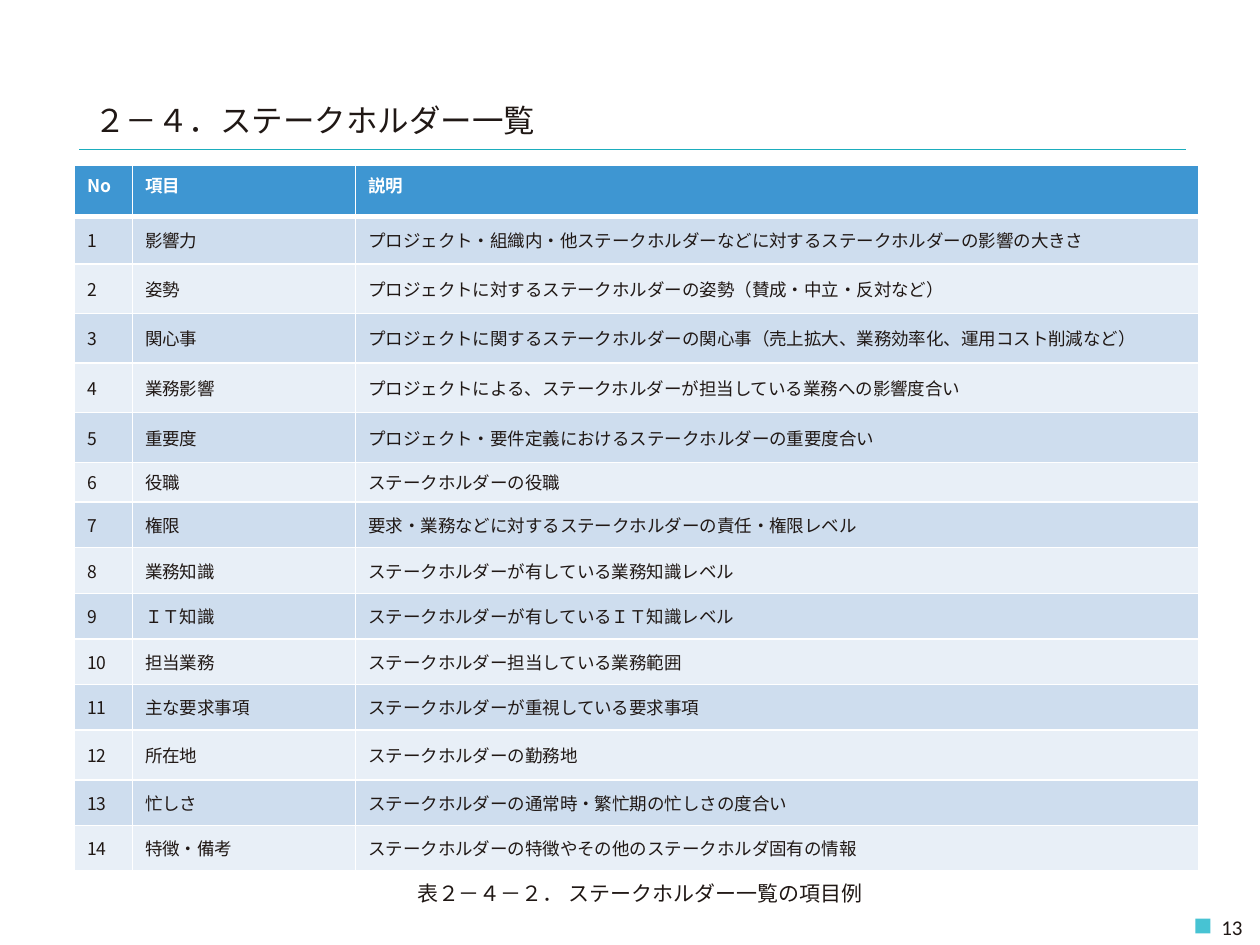
"""Build the stakeholder list slide."""
import dataclasses

import lxml.etree
import pptx
import pptx.dml.color
import pptx.enum.shapes
import pptx.enum.text
import pptx.oxml.ns
import pptx.util

Cm = pptx.util.Cm
Align = pptx.enum.text.PP_ALIGN
Anchor = pptx.enum.text.MSO_ANCHOR
qn = pptx.oxml.ns.qn


@dataclasses.dataclass(frozen=True)
class Theme:
    """Colours, fonts and type sizes of the slide."""
    ink: str = "201815"
    white: str = "FFFFFF"
    rule: str = "1BADBD"
    marker: str = "47C3D3"
    header: str = "3E96D2"
    bands: tuple = ("CEDDEE", "E8EFF7")
    text_font: str = "Noto Sans CJK JP"
    number_font: str = "Calibri"
    title_size: int = 18
    label_size: int = 12
    table_size: int = 10


THEME = Theme()
COLUMN_WIDTHS = (1.17, 4.5, 16.99)
ROW_HEIGHTS = (1.02, 0.96, *[1] * 4, 0.8, *[0.92] * 5, 1, 0.92, 0.92)
HEADINGS = ("No", "項目", "説明")
ITEMS = (
    ("影響力", "プロジェクト・組織内・他ステークホルダーなどに対するステークホルダーの影響の大きさ"),
    ("姿勢", "プロジェクトに対するステークホルダーの姿勢（賛成・中立・反対など）"),
    ("関心事", "プロジェクトに関するステークホルダーの関心事（売上拡大、業務効率化、運用コスト削減など）"),
    ("業務影響", "プロジェクトによる、ステークホルダーが担当している業務への影響度合い"),
    ("重要度", "プロジェクト・要件定義におけるステークホルダーの重要度合い"),
    ("役職", "ステークホルダーの役職"),
    ("権限", "要求・業務などに対するステークホルダーの責任・権限レベル"),
    ("業務知識", "ステークホルダーが有している業務知識レベル"),
    ("ＩＴ知識", "ステークホルダーが有しているＩＴ知識レベル"),
    ("担当業務", "ステークホルダー担当している業務範囲"),
    ("主な要求事項", "ステークホルダーが重視している要求事項"),
    ("所在地", "ステークホルダーの勤務地"),
    ("忙しさ", "ステークホルダーの通常時・繁忙期の忙しさの度合い"),
    ("特徴・備考", "ステークホルダーの特徴やその他のステークホルダ固有の情報"),
)


def rgb(value):
    """Return the colour for a hexadecimal string."""
    return pptx.dml.color.RGBColor.from_string(value)


def write_text(frame, text, size, color=THEME.ink, font=THEME.text_font, bold=False, align=Align.LEFT):
    """Write one formatted run into a text frame."""
    paragraph = frame.paragraphs[0]
    paragraph.alignment = align
    run = paragraph.add_run()
    run.text = text
    run.font.size = pptx.util.Pt(size)
    run.font.name = font
    run.font.bold = bold
    run.font.color.rgb = rgb(color)
    east_asian = lxml.etree.SubElement(run.font._element, qn("a:ea"))
    east_asian.set("typeface", font)


def add_label(slide, box, text, size, **text_format):
    """Add a vertically centred text box at the given box in centimetres."""
    frame = slide.shapes.add_textbox(*map(Cm, box)).text_frame
    frame.word_wrap = True
    frame.vertical_anchor = Anchor.MIDDLE
    write_text(frame, text, size, **text_format)


def add_title(slide, box, text):
    """Place the title and the thin rule beneath it."""
    left, top, width, height = box
    add_label(slide, (left + 0.05, top, width, height), text, THEME.title_size)
    rule_top = Cm(top + height + 0.08)
    rule = slide.shapes.add_connector(
        pptx.enum.shapes.MSO_CONNECTOR.STRAIGHT, Cm(left), rule_top, Cm(left + width), rule_top)
    rule.line.color.rgb = rgb(THEME.rule)
    rule.line.width = pptx.util.Pt(0.25)
    lxml.etree.SubElement(rule._element.spPr, qn("a:effectLst"))


def set_borders(cell, top, bottom):
    """Draw white cell borders with the given top and bottom widths."""
    properties = cell._tc.get_or_add_tcPr()
    widths = {"a:lnL": 1, "a:lnR": 1, "a:lnT": top, "a:lnB": bottom}
    for position, (tag, width) in enumerate(widths.items()):
        line = lxml.etree.Element(qn(tag), w=str(pptx.util.Pt(width)))
        fill = lxml.etree.SubElement(line, qn("a:solidFill"))
        lxml.etree.SubElement(fill, qn("a:srgbClr"), val=THEME.white)
        properties.insert(position, line)


def add_item_table(slide, left, top):
    """Place the banded table of stakeholder items."""
    rows = [HEADINGS] + [(str(number), *item) for number, item in enumerate(ITEMS, 1)]
    table = slide.shapes.add_table(
        len(rows), len(HEADINGS), Cm(left), Cm(top), Cm(sum(COLUMN_WIDTHS)), Cm(sum(ROW_HEIGHTS))).table
    for column, width in zip(table.columns, COLUMN_WIDTHS):
        column.width = Cm(width)
    for index, (row, height, texts) in enumerate(zip(table.rows, ROW_HEIGHTS, rows)):
        row.height = Cm(height)
        is_header = index == 0
        for cell, text in zip(row.cells, texts):
            cell.fill.solid()
            cell.fill.fore_color.rgb = rgb(THEME.header if is_header else THEME.bands[(index - 1) % 2])
            cell.vertical_anchor = Anchor.TOP if is_header else Anchor.MIDDLE
            set_borders(cell, 3 if index == 1 else 1, 3 if is_header else 1)
            write_text(cell.text_frame, text, THEME.table_size, bold=is_header,
                       color=THEME.white if is_header else THEME.ink)


def add_page_number(slide, box, number):
    """Place the page number with its square marker."""
    left, top, width, height = box
    marker = slide.shapes.add_shape(
        pptx.enum.shapes.MSO_SHAPE.RECTANGLE, Cm(left + 2.33), Cm(top + 0.23), Cm(0.3), Cm(0.3))
    marker.shadow.inherit = False
    marker.fill.solid()
    marker.fill.fore_color.rgb = rgb(THEME.marker)
    marker.line.fill.background()
    add_label(slide, box, number, THEME.label_size, font=THEME.number_font, align=Align.RIGHT)


def main():
    """Build and save the presentation."""
    presentation = pptx.Presentation()
    presentation.slide_width, presentation.slide_height = Cm(25.4), Cm(19.05)
    slide = presentation.slides.add_slide(presentation.slide_layouts[6])
    add_title(slide, (1.6, 1.93, 22.3, 0.99), "２－４．ステークホルダー一覧")
    add_item_table(slide, 1.5, 3.34)
    add_label(slide, (1.5, 17.63, 22.8, 0.76), "表２－４－２． ステークホルダー一覧の項目例",
              THEME.label_size, align=Align.CENTER)
    add_page_number(slide, (21.77, 18.29, 3.53, 0.79), "13")
    presentation.save("out.pptx")


main()
